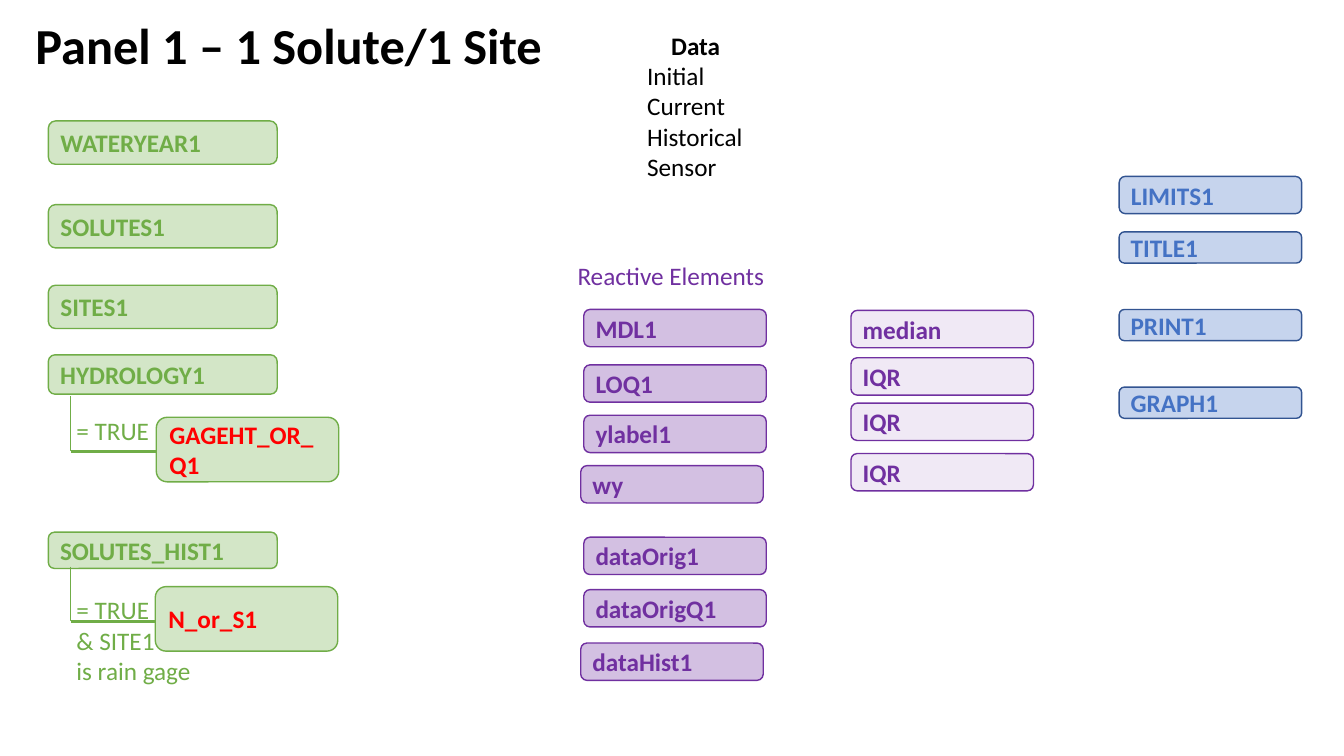
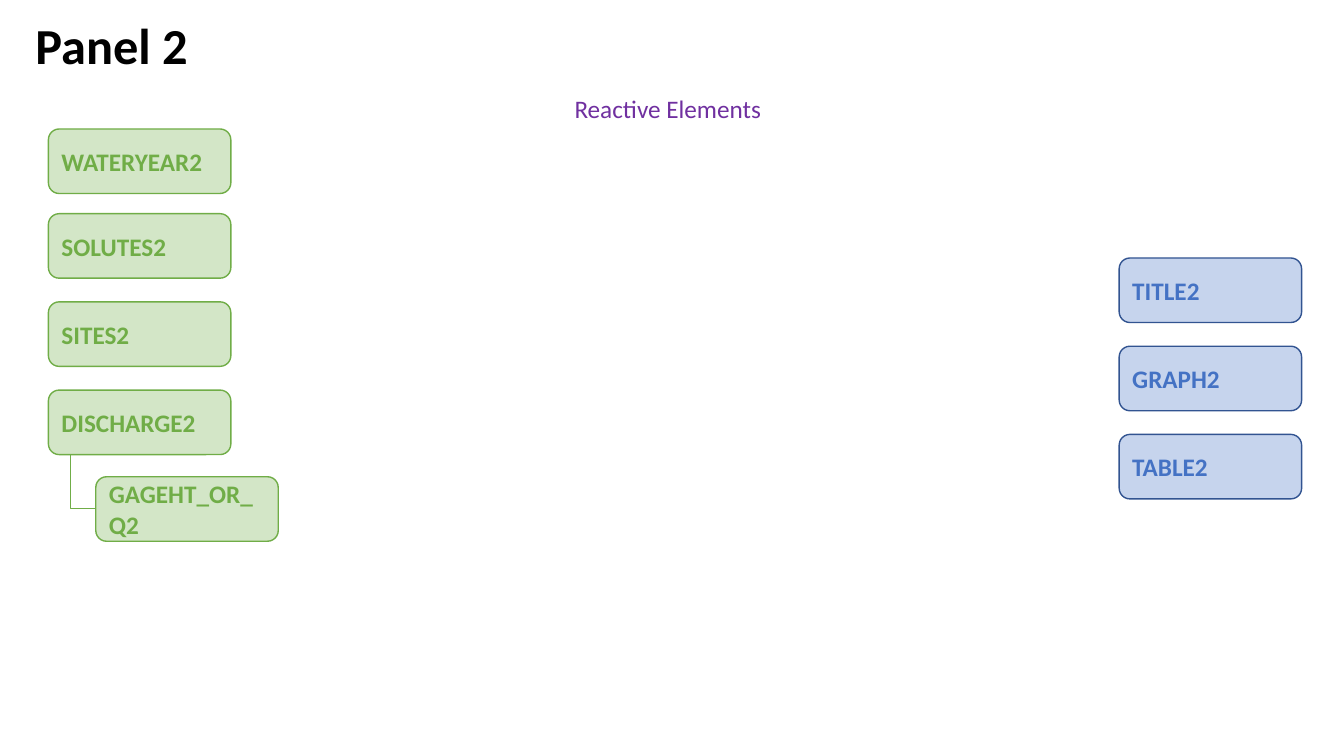
from collections import namedtuple

from lxml import etree
from pptx import Presentation
from pptx import util as u
from pptx.dml.color import RGBColor
from pptx.enum import shapes, text
from pptx.oxml.ns import qn

GREEN = RGBColor(0x70, 0xAD, 0x47)
BLUE = RGBColor(0x44, 0x72, 0xC4)
NAVY = RGBColor(0x32, 0x54, 0x91)
PURPLE = RGBColor(0x70, 0x30, 0xA0)
RED = RGBColor(0xFF, 0x00, 0x00)
BLACK = RGBColor(0x00, 0x00, 0x00)
FONT = "Calibri"

CELL = u.Inches(0.1)
INPUT_COL, BRANCH_COL, NESTED_COL = 4.8, 7, 9.5
REACTIVE_COL, STAT_COL, OUTPUT_COL = 57.9, 84.4, 111
BOX_W, WIDE_W = 18.1, 22.7
SLIM_H, ROW_H, INPUT_H, TALL_H = 3.1, 3.7, 4.3, 6.4
PITCH, DROP = 8.75, 5.35

Style = namedtuple("Style", "fill alpha line font")
INPUT = Style(GREEN, 30, GREEN, GREEN)
CHOICE = Style(GREEN, 30, GREEN, RED)
OUTPUT = Style(BLUE, 30, NAVY, BLUE)
REACTIVE = Style(PURPLE, 30, PURPLE, PURPLE)
STAT = Style(PURPLE, 10, PURPLE, PURPLE)


def grid(*cells):
    """Turn grid cells into slide lengths."""
    return [round(c * CELL) for c in cells]


def write(p, words, color, size=18, bold=False):
    """Add one formatted run to a paragraph."""
    r = p.add_run()
    r.text = words
    r.font.name = FONT
    r.font.size = u.Pt(size)
    r.font.bold = bold
    r.font.color.rgb = color


def add_panel(prs, title, width):
    """Add a slide with its title at the top left."""
    s = prs.slides.add_slide(prs.slide_layouts[5])
    sp = s.shapes.title
    sp.left, sp.top, sp.width, sp.height = grid(2.5, 0.9, width, 7.1)
    tf = sp.text_frame
    tf.word_wrap = False
    tf.auto_size = text.MSO_AUTO_SIZE.NONE
    tf.vertical_anchor = text.MSO_ANCHOR.TOP
    p = tf.paragraphs[0]
    p.alignment = text.PP_ALIGN.LEFT
    write(p, title, BLACK, 36, True)
    return s


def add_box(s, label, style, x, y, w, h):
    """Add a translucent rounded box with a bold label."""
    sp = s.shapes.add_shape(shapes.MSO_SHAPE.ROUNDED_RECTANGLE, *grid(x, y, w, h))
    sp.shadow.inherit = False
    sp.fill.solid()
    sp.fill.fore_color.rgb = style.fill
    color = sp.fill._xPr.find(qn("a:solidFill"))[0]
    etree.SubElement(color, qn("a:alpha"), val=str(style.alpha * 1000))
    sp.line.color.rgb = style.line
    sp.line.width = u.Pt(1)
    tf = sp.text_frame
    tf.word_wrap = True
    tf.vertical_anchor = text.MSO_ANCHOR.MIDDLE
    p = tf.paragraphs[0]
    p.alignment = text.PP_ALIGN.LEFT
    write(p, label, style.font, bold=True)


def add_stack(s, style, x, w, h, rows):
    """Add equal boxes down one column from label and row pairs."""
    for label, y in rows:
        add_box(s, label, style, x, y, w, h)


def spaced(labels, top):
    """Pair labels with evenly pitched rows."""
    return [(label, top + i * PITCH) for i, label in enumerate(labels)]


def add_note(s, lines, color, x, y, w, h, heading=None):
    """Add plain lines of text under an optional centred heading."""
    tf = s.shapes.add_textbox(*grid(x, y, w, h)).text_frame
    tf.word_wrap = False
    tf.auto_size = text.MSO_AUTO_SIZE.SHAPE_TO_FIT_TEXT
    p = tf.paragraphs[0]
    if heading:
        p.alignment = text.PP_ALIGN.CENTER
        write(p, heading, color, bold=True)
    for i, line in enumerate(lines):
        if i or heading:
            p = tf.add_paragraph()
        write(p, line, color)


def add_line(s, kind, x1, y1, x2, y2, width):
    """Add a green connector without a shadow."""
    sp = s.shapes.add_connector(kind, *grid(x1, y1, x2, y2))
    sp.line.color.rgb = GREEN
    sp.line.width = u.Pt(width)
    etree.SubElement(sp._element.spPr, qn("a:effectLst"))
    return sp


def add_elbow(s, y):
    """Add a one-bend connector that drops and then turns right."""
    run = NESTED_COL - BRANCH_COL
    mid_x, mid_y = BRANCH_COL + run / 2, y + DROP / 2
    sp = add_line(s, shapes.MSO_CONNECTOR.ELBOW, mid_x + DROP / 2, mid_y - run / 2,
                  mid_x - DROP / 2, mid_y + run / 2, 0.5)
    spPr = sp._element.spPr
    spPr.find(qn("a:xfrm")).set("rot", "16200000")
    spPr.find(qn("a:prstGeom")).set("prst", "bentConnector2")


def add_condition(s, label, x, y, elbow_y, bar_y, lines, note):
    """Add a conditional choice box with its branch and condition."""
    add_box(s, label, CHOICE, x, y, BOX_W, TALL_H)
    add_elbow(s, elbow_y)
    add_line(s, shapes.MSO_CONNECTOR.STRAIGHT, BRANCH_COL, bar_y, 15.5, bar_y, 2.25)
    add_note(s, lines, GREEN, 6.6, *note)


def build_panel_1(prs):
    """Build the panel for one solute at one site."""
    s = add_panel(prs, "Panel 1 – 1 Solute/1 Site", 52.8)
    add_stack(s, INPUT, INPUT_COL, WIDE_W, INPUT_H,
              [("WATERYEAR1", 12), ("SOLUTES1", 20.3), ("SITES1", 28.3)])
    add_box(s, "HYDROLOGY1", INPUT, INPUT_COL, 35.2, WIDE_W, 3.9)
    add_condition(s, "GAGEHT_OR_Q1", 15.5, 41.4, 39.3, 44.8,
                  ["= TRUE"], (40.7, 9.3, 4))
    add_box(s, "SOLUTES_HIST1", INPUT, INPUT_COL, 52.8, WIDE_W, 3.6)
    add_condition(s, "N_or_S1", 15.4, 58.2, 56.2, 61.7,
                  ["= TRUE", "& SITE1", "is rain gage"], (58.5, 13.5, 10.1))
    add_note(s, ["Initial", "Current", "Historical", "Sensor"], BLACK,
             63.2, 2.5, 11.6, 16.2, heading="Data")
    add_note(s, ["Reactive Elements"], PURPLE, 56.3, 25.3, 21.3, 4)
    add_stack(s, REACTIVE, REACTIVE_COL, BOX_W, ROW_H,
              [("MDL1", 30.7), ("LOQ1", 36.2), ("ylabel1", 41.2),
               ("dataOrig1", 53.3), ("dataOrigQ1", 58.5)])
    add_stack(s, REACTIVE, REACTIVE_COL - 0.3, BOX_W, ROW_H,
              [("wy", 46.2), ("dataHist1", 63.8)])
    add_stack(s, STAT, STAT_COL, BOX_W, ROW_H,
              [("median", 30.8), ("IQR", 35.5), ("IQR", 40), ("IQR", 45)])
    add_box(s, "LIMITS1", OUTPUT, OUTPUT_COL, 17.5, BOX_W, ROW_H)
    add_stack(s, OUTPUT, OUTPUT_COL, BOX_W, SLIM_H,
              [("TITLE1", 23), ("PRINT1", 30.7), ("GRAPH1", 38.4)])


def build_panel_2(prs):
    """Build the second panel."""
    s = add_panel(prs, "Panel 2", 17.3)
    add_note(s, ["Reactive Elements"], PURPLE, 56, 8.8, 21.3, 4)
    inputs = spaced(["SOLUTES2", "SITES2", "DISCHARGE2"], 21.2)
    add_stack(s, INPUT, INPUT_COL, BOX_W, TALL_H, [("WATERYEAR2", 12.8)] + inputs)
    add_box(s, "GAGEHT_OR_Q2", INPUT, NESTED_COL, 47.3, BOX_W, TALL_H)
    add_elbow(s, 45.1)
    add_stack(s, OUTPUT, OUTPUT_COL, BOX_W, TALL_H,
              spaced(["TITLE2", "GRAPH2", "TABLE2"], 25.6))


def main():
    """Build and save the presentation."""
    prs = Presentation()
    prs.slide_width, prs.slide_height = u.Inches(13.33), u.Inches(7.5)
    build_panel_1(prs)
    build_panel_2(prs)
    prs.save("out.pptx")


if __name__ == "__main__":
    main()
